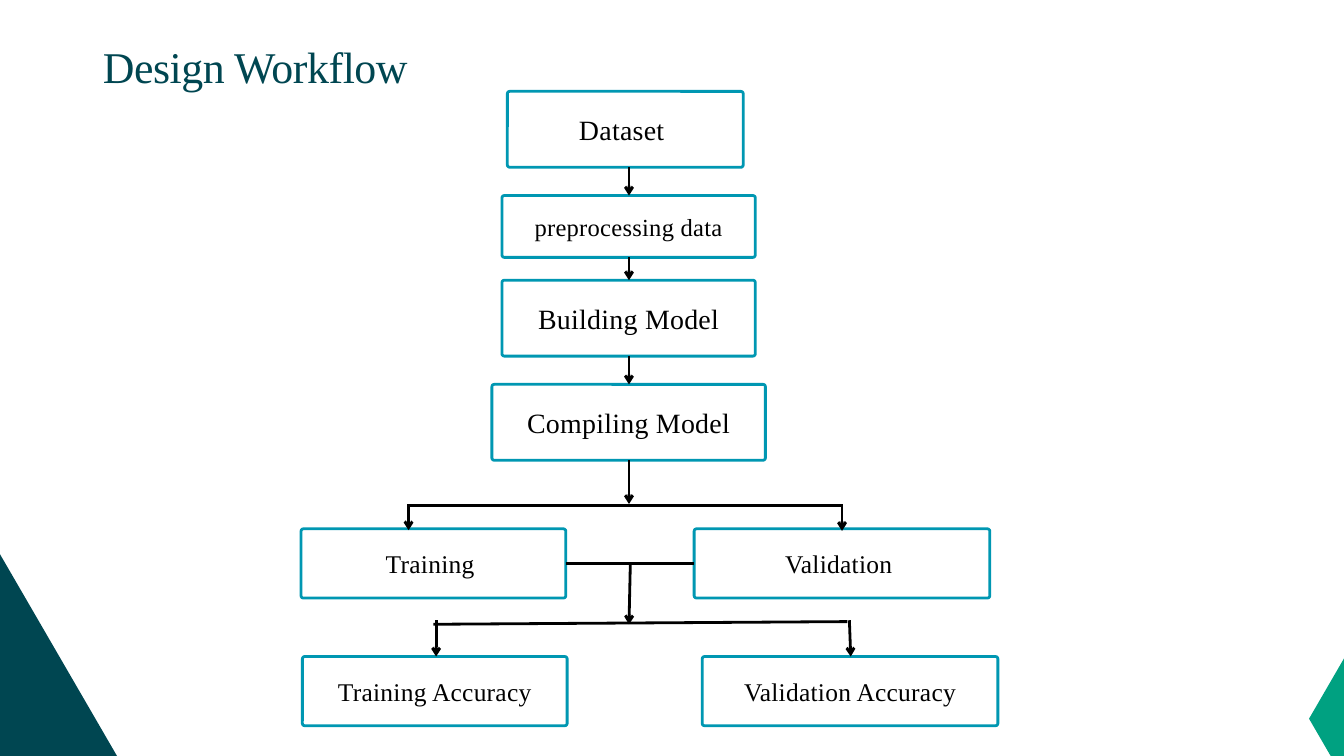
from lxml.etree import SubElement
from pptx import Presentation
from pptx.dml.color import RGBColor
from pptx.enum.shapes import MSO_CONNECTOR, MSO_SHAPE
from pptx.enum.text import MSO_ANCHOR, PP_ALIGN
from pptx.oxml.ns import qn
from pptx.util import Inches, Pt

NAVY = RGBColor(0x00, 0x46, 0x51)
GREEN = RGBColor(0x00, 0xA1, 0x81)
TEAL = RGBColor(0x00, 0x97, 0xB2)
BLACK = RGBColor(0x00, 0x00, 0x00)
WHITE = RGBColor(0xFF, 0xFF, 0xFF)

COLUMNS, ROWS = 200, 112.5  # square grid cells
AXIS = 93.6  # column of the main flow

# text, left, top, width, height, font size
BOXES = [
    ("Dataset ", 75.5, 13.6, 35.1, 11.3, 29.9),
    ("preprocessing data", 74.7, 29.1, 37.7, 9.2, 26.3),
    ("Building Model", 74.7, 41.7, 37.7, 11.3, 29.9),
    ("Compiling Model", 73.2, 57.2, 40.7, 11.3, 29.9),
    ("Training ", 44.8, 78.7, 39.4, 10.3, 27.3),
    ("Validation ", 103.3, 78.7, 44, 10.3, 27.3),
    ("Training Accuracy", 45, 97.7, 39.4, 10.3, 27.3),
    ("Validation Accuracy", 104.5, 97.7, 44, 10.3, 27.3),
]

# start column, start row, end column, end row
ARROWS = [
    (AXIS, 24.9, AXIS, 29.1),
    (AXIS, 38.3, AXIS, 41.7),
    (AXIS, 53, AXIS, 57.2),
    (AXIS, 68.5, AXIS, 75),
    (60.8, 75, 60.8, 78.9),
    (125.3, 75.2, 125.3, 79),
    (93.8, 83.9, AXIS, 92.9),
    (64.9, 92.3, 64.9, 97.7),
    (126.4, 92.3, 126.6, 97.7),
]
BRANCHES = [
    (60.8, 75.2, 125.5, 75.2),
    (84.2, 83.9, 103.3, 83.9),
    (64.5, 92.9, 126.1, 92.5),
]


class Canvas:
    font = "Times New Roman"
    line_width = Pt(3)
    corner = 0.35

    def __init__(self, prs):
        self.slide = prs.slides.add_slide(prs.slide_layouts[6])
        self.cell_w = prs.slide_width / COLUMNS
        self.cell_h = prs.slide_height / ROWS

    def place(self, x, y):
        """Turn grid columns and rows into slide lengths."""
        return round(x * self.cell_w), round(y * self.cell_h)

    def shape(self, kind, left, top, width, height, fill):
        sp = self.slide.shapes.add_shape(
            kind, *self.place(left, top), *self.place(width, height))
        sp.shadow.inherit = False
        sp.fill.solid()
        sp.fill.fore_color.rgb = fill
        return sp

    def label(self, tf, text, size, color, tracking, align, leading):
        """Fill a frame with one line; tracking is in hundredths of a point."""
        tf.word_wrap = True
        tf.margin_left = tf.margin_right = tf.margin_top = tf.margin_bottom = 0
        p = tf.paragraphs[0]
        p.text = text
        p.alignment = align
        p.line_spacing = Pt(size * leading)
        r = p.runs[0]
        r.font.name = self.font
        r.font.size = Pt(size)
        r.font.color.rgb = color
        r.font._element.set("spc", str(tracking))

    def title(self, text, left, top, width, height):
        box = self.slide.shapes.add_textbox(
            *self.place(left, top), *self.place(width, height))
        self.label(box.text_frame, text, 47, NAVY, -50, PP_ALIGN.LEFT, 1.3)

    def hexagon(self, left, top, width, height, fill):
        sp = self.shape(MSO_SHAPE.HEXAGON, left, top, width, height, fill)
        sp.adjustments[0] = 0.29
        sp.line.fill.background()

    def box(self, text, left, top, width, height, size):
        sp = self.shape(MSO_SHAPE.ROUNDED_RECTANGLE, left, top, width, height, WHITE)
        sp.adjustments[0] = self.corner / height
        sp.line.color.rgb = TEAL
        sp.line.width = self.line_width
        tf = sp.text_frame
        self.label(tf, text, size, BLACK, 30, PP_ALIGN.CENTER, 1.4)
        tf.vertical_anchor = MSO_ANCHOR.MIDDLE
        tf.margin_bottom = Inches(0.07)

    def line(self, x1, y1, x2, y2, arrow=False):
        cxn = self.slide.shapes.add_connector(
            MSO_CONNECTOR.STRAIGHT, *self.place(x1, y1), *self.place(x2, y2))
        cxn.line.color.rgb = BLACK
        cxn.line.width = self.line_width
        sp_pr = cxn._element.spPr
        if arrow:
            SubElement(sp_pr.find(qn("a:ln")), qn("a:tailEnd"), type="arrow")
        SubElement(sp_pr, qn("a:effectLst"))


def main():
    prs = Presentation()
    prs.slide_width, prs.slide_height = Inches(20), Inches(11.25)
    canvas = Canvas(prs)
    canvas.hexagon(-88.8, 80.5, 107.4, 68.1, NAVY)
    canvas.hexagon(194.8, 94.2, 29.5, 25.5, GREEN)
    canvas.title("Design Workflow", 15.3, 5.3, 132.1, 9.3)
    for box in BOXES:
        canvas.box(*box)
    for branch in BRANCHES:
        canvas.line(*branch)
    for arrow in ARROWS:
        canvas.line(*arrow, arrow=True)
    prs.save("out.pptx")


if __name__ == "__main__":
    main()
